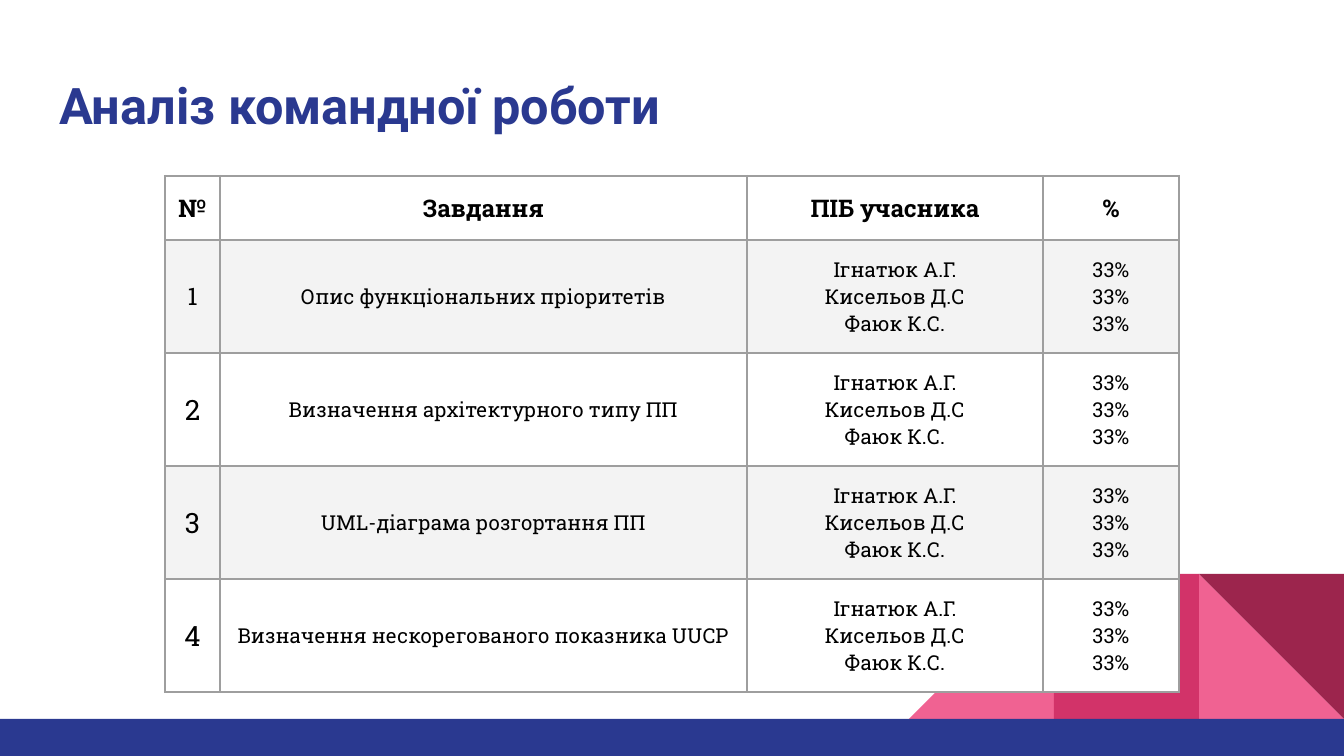
from dataclasses import dataclass

from lxml import etree
from pptx import Presentation
from pptx import util as u
from pptx.dml import color
from pptx.enum import shapes, text
from pptx.oxml import ns

SCALE = u.Inches(10) / 1344


@dataclass(frozen=True)
class Theme:
    blue: str = "2A3990"
    pink: str = "F06292"
    rose: str = "D23369"
    wine: str = "9C254D"
    white: str = "FFFFFF"
    band: str = "F3F3F3"
    border: str = "9E9E9E"
    ink: str = "000000"
    title_font: str = "Roboto"
    table_font: str = "Roboto Slab"
    title_size: int = 27
    number_size: int = 15
    header_size: int = 13
    body_size: int = 11
    border_width: float = 1.5


@dataclass(frozen=True)
class Block:
    left: int
    top: int
    width: int
    height: int
    fill: str
    kind: shapes.MSO_SHAPE = shapes.MSO_SHAPE.RECTANGLE
    flipped: bool = False
    rotation: int = 0


@dataclass(frozen=True)
class TextStyle:
    size: int
    font: str
    color: str
    bold: bool = False


@dataclass(frozen=True)
class Task:
    number: str
    name: str
    number_size: int


THEME = Theme()
TILE = 145
TILE_TOP = 574
FIRST_TILE = 909
FOOTER_TOP = TILE_TOP + TILE
TRIANGLE = shapes.MSO_SHAPE.RIGHT_TRIANGLE

BLOCKS = [
    Block(FIRST_TILE + 2 * TILE, TILE_TOP, TILE, TILE, THEME.pink, TRIANGLE),
    Block(FIRST_TILE, TILE_TOP, TILE, TILE, THEME.pink, TRIANGLE, flipped=True),
    Block(FIRST_TILE + TILE, TILE_TOP, TILE, TILE, THEME.rose),
    Block(FIRST_TILE + 2 * TILE, TILE_TOP, TILE, TILE, THEME.wine, TRIANGLE, rotation=180),
    Block(0, FOOTER_TOP, 1344, 756 - FOOTER_TOP, THEME.blue),
]

HEADERS = ["№", "Завдання", "ПІБ учасника", "%"]
MEMBERS = ["Ігнатюк А.Г.", "Кисельов Д.С", "Фаюк К.С."]
SHARE = "33%"
TASKS = [
    Task("1", "Опис функціональних пріоритетів", THEME.header_size),
    Task("2", "Визначення архітектурного типу ПП", THEME.number_size),
    Task("3", "UML-діаграма розгортання ПП", THEME.number_size),
    Task("4", "Визначення нескорегованого показника UUCP", THEME.number_size),
]
COLUMNS = [55, 527, 296, 136]
HEADER_HEIGHT = 64
TASK_HEIGHT = 113


def px(length: int) -> u.Emu:
    return u.Emu(round(length * SCALE))


def rgb(value: str) -> color.RGBColor:
    return color.RGBColor.from_string(value)


def draw_block(page, block: Block) -> None:
    shape = page.shapes.add_shape(
        block.kind, px(block.left), px(block.top), px(block.width), px(block.height)
    )
    shape.shadow.inherit = False
    shape.fill.solid()
    shape.fill.fore_color.rgb = rgb(block.fill)
    shape.line.fill.background()
    shape.rotation = block.rotation
    if block.flipped:
        shape.element.spPr.xfrm.set("flipH", "1")


def write(frame, lines: list[str], style: TextStyle, align: text.PP_ALIGN) -> None:
    frame.text = "\n".join(lines)
    for para in frame.paragraphs:
        para.alignment = align
        for span in para.runs:
            span.font.size = u.Pt(style.size)
            span.font.name = style.font
            span.font.bold = style.bold
            span.font.color.rgb = rgb(style.color)


def draw_title(page, title: str) -> None:
    box = page.shapes.add_textbox(px(46), px(60), px(1252), px(89))
    frame = box.text_frame
    frame.word_wrap = True
    frame.vertical_anchor = text.MSO_ANCHOR.MIDDLE
    style = TextStyle(THEME.title_size, THEME.title_font, THEME.blue, True)
    write(frame, [title], style, text.PP_ALIGN.LEFT)


def add_borders(cell) -> None:
    properties = cell._tc.get_or_add_tcPr()
    for index, side in enumerate(("lnL", "lnR", "lnT", "lnB")):
        line = etree.Element(ns.qn(f"a:{side}"), w=str(u.Pt(THEME.border_width)))
        fill = etree.SubElement(line, ns.qn("a:solidFill"))
        etree.SubElement(fill, ns.qn("a:srgbClr"), val=THEME.border)
        properties.insert(index, line)


def fill_cell(cell, lines: list[str], size: int, fill: str, bold: bool) -> None:
    cell.margin_left = cell.margin_right = px(8)
    cell.margin_top = cell.margin_bottom = px(16)
    cell.vertical_anchor = text.MSO_ANCHOR.MIDDLE
    cell.fill.solid()
    cell.fill.fore_color.rgb = rgb(fill)
    add_borders(cell)
    style = TextStyle(size, THEME.table_font, THEME.ink, bold)
    write(cell.text_frame, lines, style, text.PP_ALIGN.CENTER)


def draw_table(page, tasks: list[Task]) -> None:
    heights = [HEADER_HEIGHT] + [TASK_HEIGHT] * len(tasks)
    table = page.shapes.add_table(
        len(heights), len(COLUMNS), px(165), px(176), px(sum(COLUMNS)), px(sum(heights))
    ).table
    table.first_row = False
    table.horz_banding = False
    for column, width in zip(table.columns, COLUMNS):
        column.width = px(width)
    for row, height in zip(table.rows, heights):
        row.height = px(height)

    for column, header in enumerate(HEADERS):
        fill_cell(table.cell(0, column), [header], THEME.header_size, THEME.white, True)
    for row, task in enumerate(tasks, start=1):
        fill = THEME.band if row % 2 else THEME.white
        contents = [[task.number], [task.name], MEMBERS, [SHARE] * len(MEMBERS)]
        for column, lines in enumerate(contents):
            size = THEME.body_size if column else task.number_size
            fill_cell(table.cell(row, column), lines, size, fill, False)


def main() -> None:
    deck = Presentation()
    deck.slide_width = px(1344)
    deck.slide_height = px(756)
    page = deck.slides.add_slide(deck.slide_layouts[6])
    for block in BLOCKS:
        draw_block(page, block)
    draw_title(page, "Аналіз командної роботи")
    draw_table(page, TASKS)
    deck.save("out.pptx")


if __name__ == "__main__":
    main()
